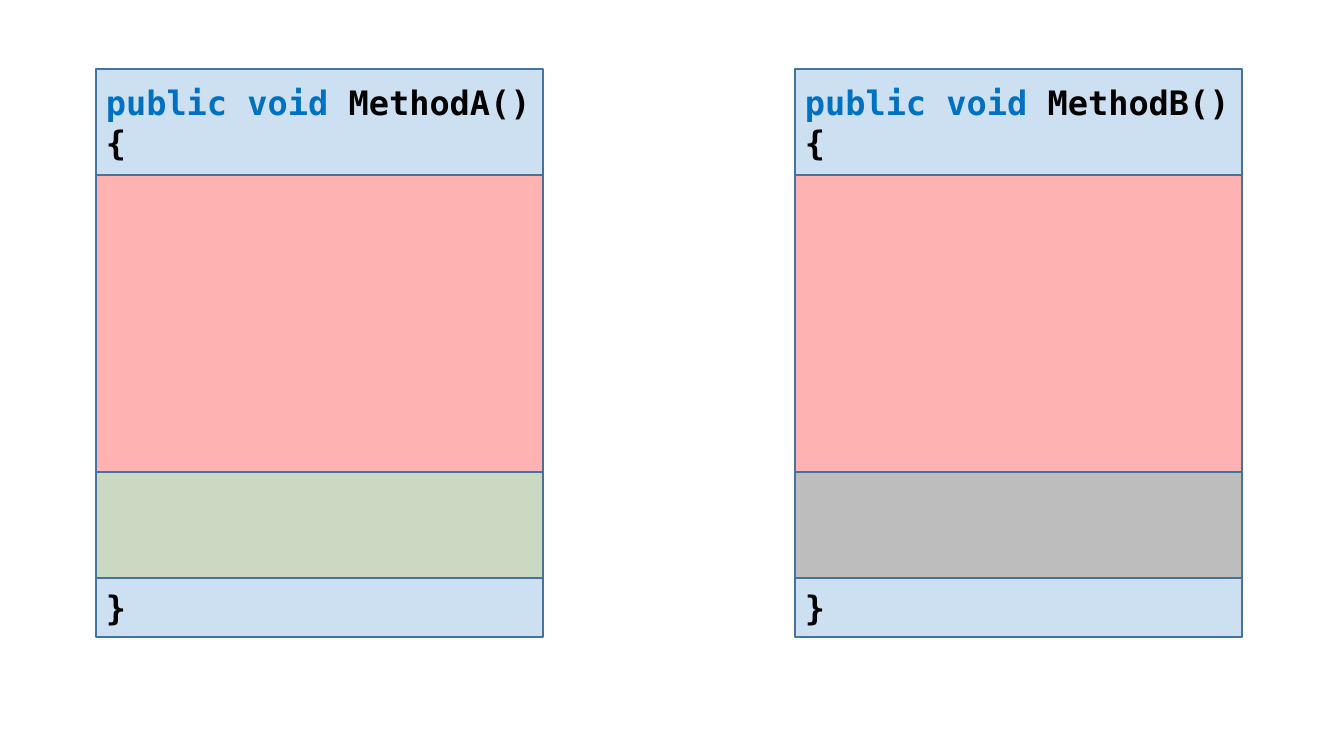
import pptx
import pptx.util
import pptx.dml.color
import pptx.enum.shapes
import pptx.enum.text
import pptx.oxml.ns
import lxml.etree

PX = 914400 / 100.8
COLORS = {
    "code": "5B9BD5",
    "red": "FF0000",
    "green": "548235",
    "gray": "262626",
    "border": "43739E",
    "keyword": "0070C0",
    "plain": "000000",
}
FONT = "DejaVu Sans Mono"
OPACITY = 30
HEADER, BODY, TAIL, FOOTER = 106, 297, 106, 59


def px(length):
    return pptx.util.Emu(round(length * PX))


def rgb(name):
    return pptx.dml.color.RGBColor.from_string(COLORS[name])


def add_text(para, text, color="plain", size=24, bold=True):
    span = para.add_run()
    span.text = text
    span.font.name = FONT
    span.font.size = pptx.util.Pt(size)
    span.font.bold = bold
    span.font.color.rgb = rgb(color)


def add_block(page, left, top, width, height, color, lines=()):
    """Add a translucent rectangle; each line is a list of (text, color)."""
    box = page.shapes.add_shape(
        pptx.enum.shapes.MSO_SHAPE.RECTANGLE,
        px(left), px(top), px(width), px(height))
    box.shadow.inherit = False
    box.fill.solid()
    box.fill.fore_color.rgb = rgb(color)
    # Fill transparency
    fill_color = box.fill._xPr.find(".//" + pptx.oxml.ns.qn("a:srgbClr"))
    lxml.etree.SubElement(fill_color, pptx.oxml.ns.qn("a:alpha"),
                          val=str(OPACITY * 1000))
    box.line.color.rgb = rgb("border")
    box.line.width = pptx.util.Pt(1)

    frame = box.text_frame
    frame.word_wrap = True
    frame.vertical_anchor = pptx.enum.text.MSO_ANCHOR.MIDDLE
    for index, line in enumerate(lines):
        para = frame.add_paragraph() if index else frame.paragraphs[0]
        para.alignment = pptx.enum.text.PP_ALIGN.LEFT
        for text, text_color in line:
            add_text(para, text, color=text_color)


def add_method(page, left, top, width, name, tail_color):
    """Stack the header, body, tail and closing brace of one method."""
    signature = [("public void ", "keyword"), (name + "()", "plain")]
    blocks = [
        (HEADER, "code", [signature, [("{", "plain")]]),
        (BODY, "red", []),
        (TAIL, tail_color, []),
        (FOOTER, "code", [[("}", "plain")]]),
    ]
    for height, color, lines in blocks:
        add_block(page, left, top, width, height, color, lines)
        top += height


def main():
    deck = pptx.Presentation()
    deck.slide_width, deck.slide_height = px(1344), px(756)
    page = deck.slides.add_slide(deck.slide_layouts[6])

    # Two methods that differ only in their tail
    add_method(page, 96, 69, 447, "MethodA", "green")
    add_method(page, 795, 69, 447, "MethodB", "gray")
    deck.save("out.pptx")


if __name__ == "__main__":
    main()
